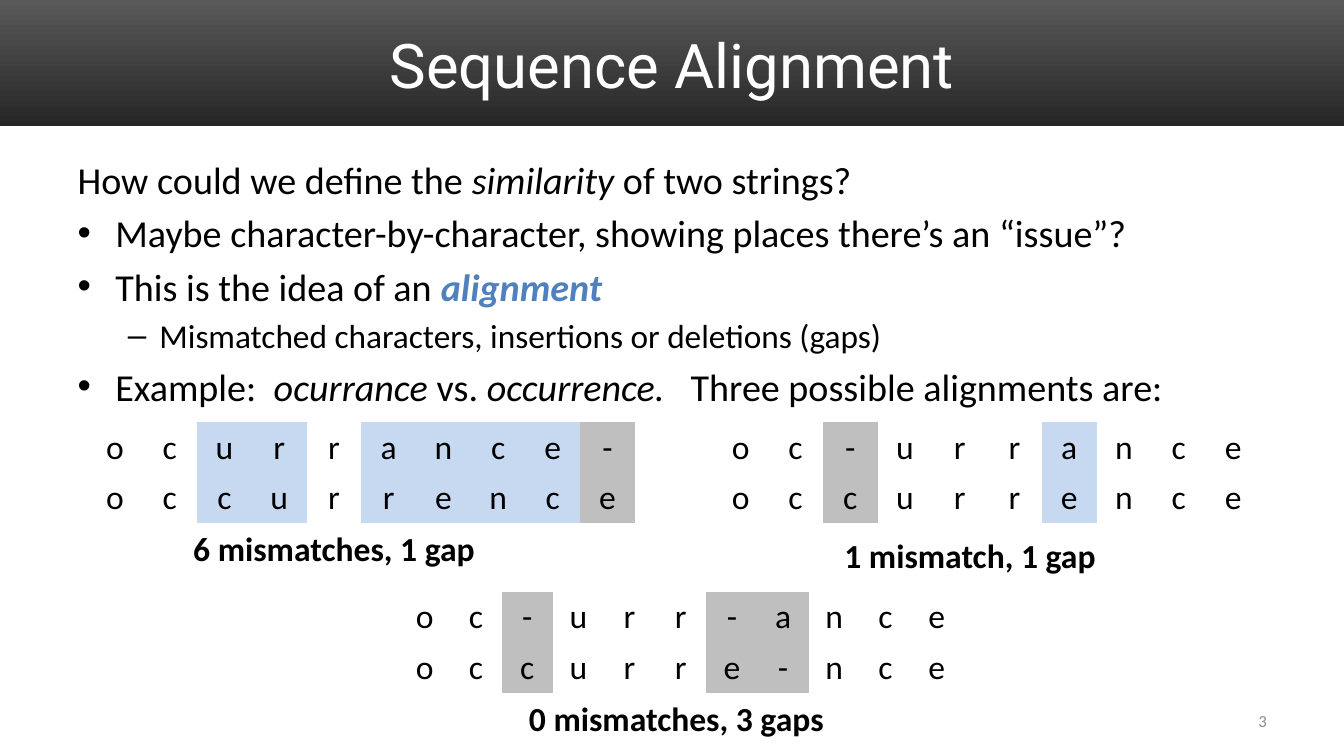
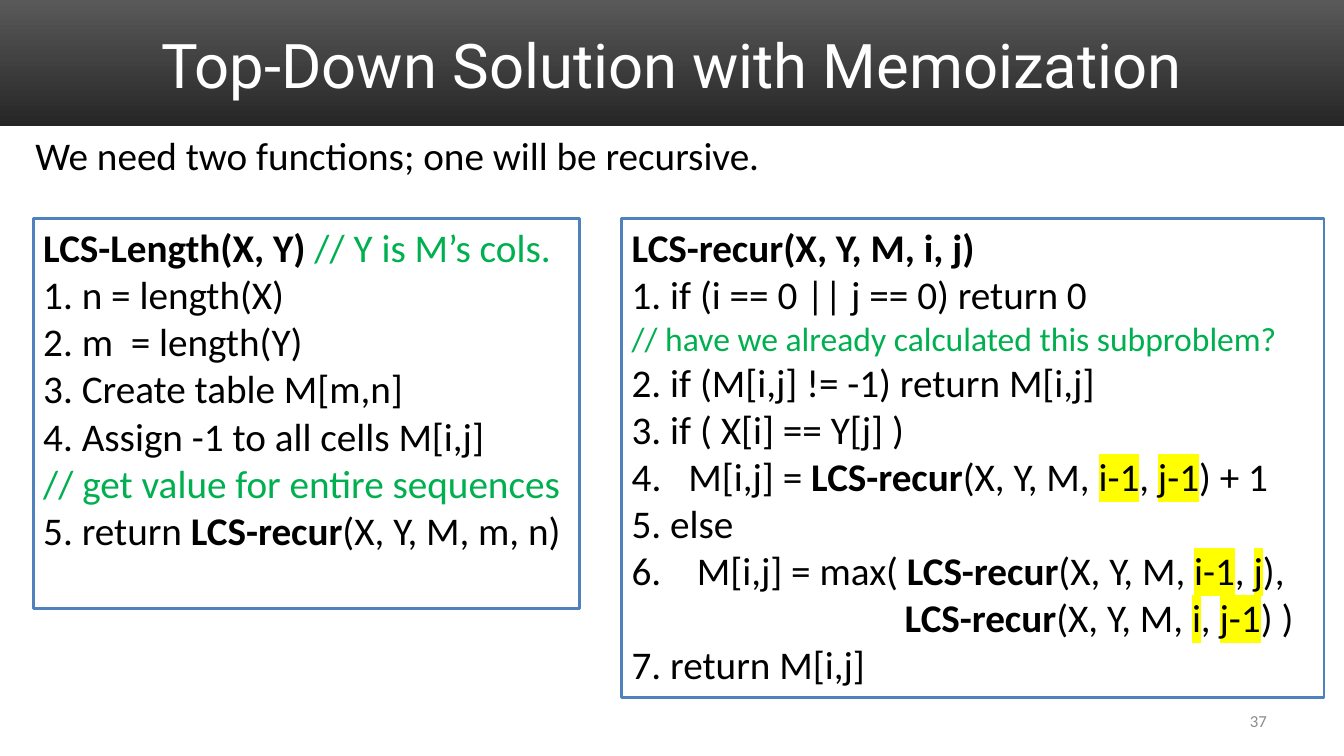
import dataclasses
import typing

import pptx
import pptx.dml.color
import pptx.enum.shapes
import pptx.enum.text
import pptx.oxml
import pptx.oxml.ns
import pptx.util

Cm = pptx.util.Cm
Pt = pptx.util.Pt
Align = pptx.enum.text.PP_ALIGN
Anchor = pptx.enum.text.MSO_ANCHOR
qn = pptx.oxml.ns.qn

COLORS = {
    "band_top": "595959",
    "band_bottom": "262626",
    "title": "FFFFFF",
    "text": "000000",
    "accent": "4F81BD",
    "comment": "00B050",
    "number": "8C8C8C",
    "mismatch": "C6D9F1",
    "gap": "BFBFBF",
    "highlight": "FFFF00",
}
BODY_FONT = "Calibri"
TITLE_FONT = "Roboto"
SLIDE_WIDTH, SLIDE_HEIGHT = Cm(33.87), Cm(19.05)
BAND_HEIGHT = Cm(3.18)
ROW_HEIGHT = 1.27
NO_GRID_STYLE = "{2D5ABB26-0587-4C30-8999-92F81FD0307C}"
BREAK = "\n"


class Box(typing.NamedTuple):
    """Left, top, width and height in centimetres."""

    left: float
    top: float
    width: float
    height: float

    def lengths(self) -> list:
        return [Cm(value) for value in self]


@dataclasses.dataclass
class Span:
    text: str
    bold: bool = False
    italic: bool = False
    color: str = ""
    highlight: bool = False


@dataclasses.dataclass
class Line:
    spans: list[Span]
    size: float = 28
    color: str = "text"
    level: int = 0
    number: int = 0  # automatic number, when not zero
    tab: float = 0  # tab stop in centimetres, when not zero
    plain: bool = False  # without the bullet of its level


@dataclasses.dataclass
class Alignment:
    upper: str
    lower: str
    left: float
    top: float
    column_width: float
    caption: str
    caption_box: Box


def plain(text: str, **options) -> Line:
    return Line([Span(text)], **options)


def bold(text: str) -> Span:
    return Span(text, bold=True)


def italic(text: str) -> Span:
    return Span(text, italic=True)


def recursive_call(first: str, second: str, ending: str) -> list[Span]:
    """The spans of one call of LCS-recur, its changed arguments highlighted."""
    return [
        bold("LCS-recur"),
        Span("(X, Y, M, "),
        Span(first, highlight=True),
        Span(", "),
        Span(second, highlight=True),
        Span(ending),
    ]


TITLE_BOX = Box(1.7, 0.43, 30.48, 2.34)
NUMBER_BOX = Box(24.28, 17.65, 7.9, 1.02)
QUESTION_BOX = Box(1.7, 3.81, 29.41, 6.68)
INTRO_BOX = Box(0.64, 3.18, 18.97, 1.45)
LENGTH_BOX = Box(0.84, 5.51, 13.77, 9.83)
RECUR_BOX = Box(15.67, 5.51, 17.7, 12.07)

QUESTION = [
    Line([Span("How could we define the "), italic("similarity"), Span(" of two strings?")],
         size=27.2, plain=True),
    plain("Maybe character-by-character, showing places there’s an “issue”?", size=27.2),
    Line([Span("This is the idea of an "),
          Span("alignment", bold=True, italic=True, color="accent")], size=27.2),
    plain("Mismatched characters, insertions or deletions (gaps)", size=23.8, level=1),
    Line([Span("Example:  "), italic("ocurrance"), Span(" vs. "), italic("occurrence.   "),
          Span("Three possible alignments are:")], size=27.2),
]

ALIGNMENTS = [
    Alignment("ocurrance-", "occurrence", 2.21, 10.64, 1.38,
              "6 mismatches, 1 gap", Box(4.62, 13.18, 7.67, 1.27)),
    Alignment("oc-urrance", "occurrence", 17.98, 10.64, 1.38,
              "1 mismatch, 1 gap", Box(21.03, 13.36, 6.91, 1.27)),
    Alignment("oc-urr-ance", "occurre-nce", 10.06, 14.91, 1.29,
              "0 mismatches, 3 gaps", Box(13.08, 17.45, 8.03, 1.27)),
]

LENGTH_CODE = [
    Line([bold("LCS-Length(X, Y)"), Span(" // Y is M’s cols.", color="comment")]),
    plain("1. n = length(X)"),
    plain("2. m  = length(Y)"),
    plain("3. Create table M[m,n]"),
    plain("4. Assign -1 to all cells M[i,j]"),
    plain("// get value for entire sequences", color="comment"),
    Line([Span("5. return "), bold("LCS-recur"), Span("(X, Y, M, m, n)")]),
]

RECUR_CODE = [
    Line([bold("LCS-recur(X, Y, M, i, j)")]),
    plain("1. if (i == 0 || j == 0) return 0"),
    plain("// have we already calculated this subproblem?", size=24, color="comment"),
    plain("2. if (M[i,j] != -1) return M[i,j]"),
    plain("3. if ( X[i] == Y[j] )"),
    Line([Span("M[i,j] = "), *recursive_call("i-1", "j-1", ") + 1")], number=4),
    plain("5. else"),
    Line([Span("6.    M[i,j] = max( "), *recursive_call("i-1", "j", "),"),
          Span(BREAK), Span("\t"), *recursive_call("i", "j-1", ") )")], tab=6.88),
    plain("7. return M[i,j]"),
]


def rgb(name: str) -> pptx.dml.color.RGBColor:
    return pptx.dml.color.RGBColor.from_string(COLORS[name])


def set_font(font, size: float, color: str, name: str = BODY_FONT) -> None:
    font.name = name
    font.size = Pt(size)
    font.color.rgb = rgb(color)


def add_child(parent, tag: str, **attributes):
    child = parent.makeelement(qn(tag), attributes)
    parent.append(child)
    return child


def format_list(paragraph, line: Line) -> None:
    """Set the bullet, the number and the tab stop of a paragraph."""
    properties = paragraph._p.get_or_add_pPr()
    if line.plain:
        properties.set("marL", "0")
        properties.set("indent", "0")
        add_child(properties, "a:buNone")
    if line.number:
        hanging = Cm(1.43)
        properties.set("marL", str(hanging))
        properties.set("indent", str(-hanging))
        add_child(properties, "a:buFont", typeface="+mj-lt")
        add_child(properties, "a:buAutoNum", type="arabicPeriod", startAt=str(line.number))
    if line.tab:
        stops = add_child(properties, "a:tabLst")
        add_child(stops, "a:tab", pos=str(Cm(line.tab)), algn="l")


def add_span(paragraph, span: Span) -> None:
    if span.text == BREAK:
        paragraph.add_line_break()
        return
    run = paragraph.add_run()
    run.text = span.text
    if span.bold:
        run.font.bold = True
    if span.italic:
        run.font.italic = True
    if span.color:
        run.font.color.rgb = rgb(span.color)
    if span.highlight:
        marker = add_child(run._r.get_or_add_rPr(), "a:highlight")
        add_child(marker, "a:srgbClr", val=COLORS["highlight"])


def write_lines(frame, lines: list[Line]) -> None:
    for index, line in enumerate(lines):
        paragraph = frame.add_paragraph() if index else frame.paragraphs[0]
        paragraph.level = line.level
        format_list(paragraph, line)
        set_font(paragraph.font, line.size, line.color)
        if index == 0:
            paragraph.space_before = Pt(0)
        for span in line.spans:
            add_span(paragraph, span)


def place(shape, box: Box) -> None:
    shape.left, shape.top, shape.width, shape.height = box.lengths()


def add_label(slide, box: Box, line: Line):
    label = slide.shapes.add_textbox(*box.lengths())
    label.text_frame.word_wrap = False
    write_lines(label.text_frame, [line])
    return label


def add_band(slide) -> None:
    """Draw the title band and move it to the master, behind all slides."""
    band = slide.shapes.add_shape(
        pptx.enum.shapes.MSO_SHAPE.RECTANGLE, 0, 0, SLIDE_WIDTH, BAND_HEIGHT)
    band.shadow.inherit = False
    band.line.fill.background()
    band.fill.gradient()
    band.fill.gradient_angle = 270
    for stop, color in zip(band.fill.gradient_stops, ("band_top", "band_bottom")):
        stop.color.rgb = rgb(color)
    slide.slide_layout.slide_master.shapes._spTree.insert(2, band._element)


def add_slide(deck, layout: int, title: str, number: int):
    slide = deck.slides.add_slide(deck.slide_layouts[layout])
    heading = slide.shapes.title
    place(heading, TITLE_BOX)
    frame = heading.text_frame
    frame.text = title
    frame.vertical_anchor = Anchor.MIDDLE
    frame.auto_size = pptx.enum.text.MSO_AUTO_SIZE.NONE
    frame.paragraphs[0].alignment = Align.CENTER
    set_font(frame.paragraphs[0].font, 44, "title", TITLE_FONT)

    page = add_label(slide, NUMBER_BOX, plain(str(number), size=12, color="number"))
    page.text_frame.word_wrap = True
    page.text_frame.vertical_anchor = Anchor.MIDDLE
    page.text_frame.paragraphs[0].alignment = Align.RIGHT
    return slide


def add_alignment(slide, alignment: Alignment) -> None:
    """Draw two strings as a table, shading gaps and mismatches by column."""
    strings = (alignment.upper, alignment.lower)
    count = len(alignment.upper)
    box = Box(alignment.left, alignment.top, alignment.column_width * count, ROW_HEIGHT * 2)
    table = slide.shapes.add_table(2, count, *box.lengths()).table
    table.first_row = table.horz_banding = False
    table._tbl.tblPr.find(qn("a:tableStyleId")).text = NO_GRID_STYLE
    for column, pair in enumerate(zip(*strings)):
        table.columns[column].width = Cm(alignment.column_width)
        for row, letter in enumerate(pair):
            cell = table.cell(row, column)
            write_lines(cell.text_frame, [plain(letter, size=24)])
            cell.text_frame.paragraphs[0].alignment = Align.CENTER
            if pair[0] == pair[1]:
                cell.fill.background()
            else:
                cell.fill.solid()
                cell.fill.fore_color.rgb = rgb("gap" if "-" in pair else "mismatch")
    add_label(slide, alignment.caption_box, Line([bold(alignment.caption)], size=24))


def add_code(slide, box: Box, lines: list[Line]) -> None:
    code = slide.shapes.add_shape(pptx.enum.shapes.MSO_SHAPE.RECTANGLE, *box.lengths())
    code.shadow.inherit = False
    code.fill.background()
    code.line.color.rgb = rgb("accent")
    code.line.width = Pt(2)
    code.text_frame.word_wrap = True
    code.text_frame.vertical_anchor = Anchor.TOP
    write_lines(code.text_frame, lines)
    for paragraph in code.text_frame.paragraphs:
        paragraph.alignment = Align.LEFT


def main() -> None:
    deck = pptx.Presentation()
    deck.slide_width, deck.slide_height = SLIDE_WIDTH, SLIDE_HEIGHT

    sequences = add_slide(deck, 1, "Sequence Alignment", 3)
    add_band(sequences)
    question = sequences.placeholders[1]
    place(question, QUESTION_BOX)
    question.text_frame.auto_size = pptx.enum.text.MSO_AUTO_SIZE.NONE
    write_lines(question.text_frame, QUESTION)
    for alignment in ALIGNMENTS:
        add_alignment(sequences, alignment)

    memoization = add_slide(deck, 5, "Top-Down Solution with Memoization", 37)
    add_code(memoization, LENGTH_BOX, LENGTH_CODE)
    add_code(memoization, RECUR_BOX, RECUR_CODE)
    add_label(memoization, INTRO_BOX, plain("We need two functions; one will be recursive."))

    deck.save("out.pptx")


if __name__ == "__main__":
    main()
